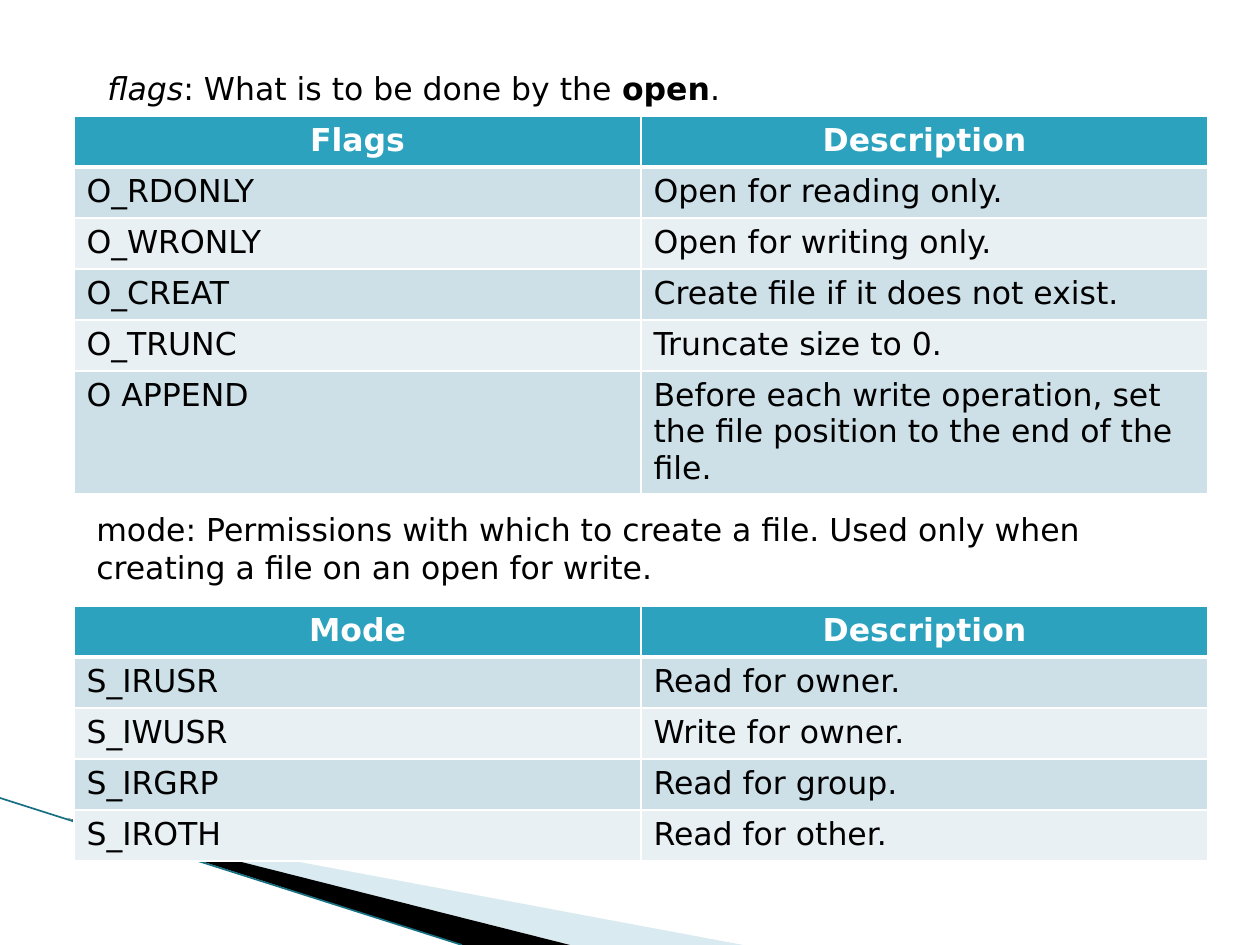
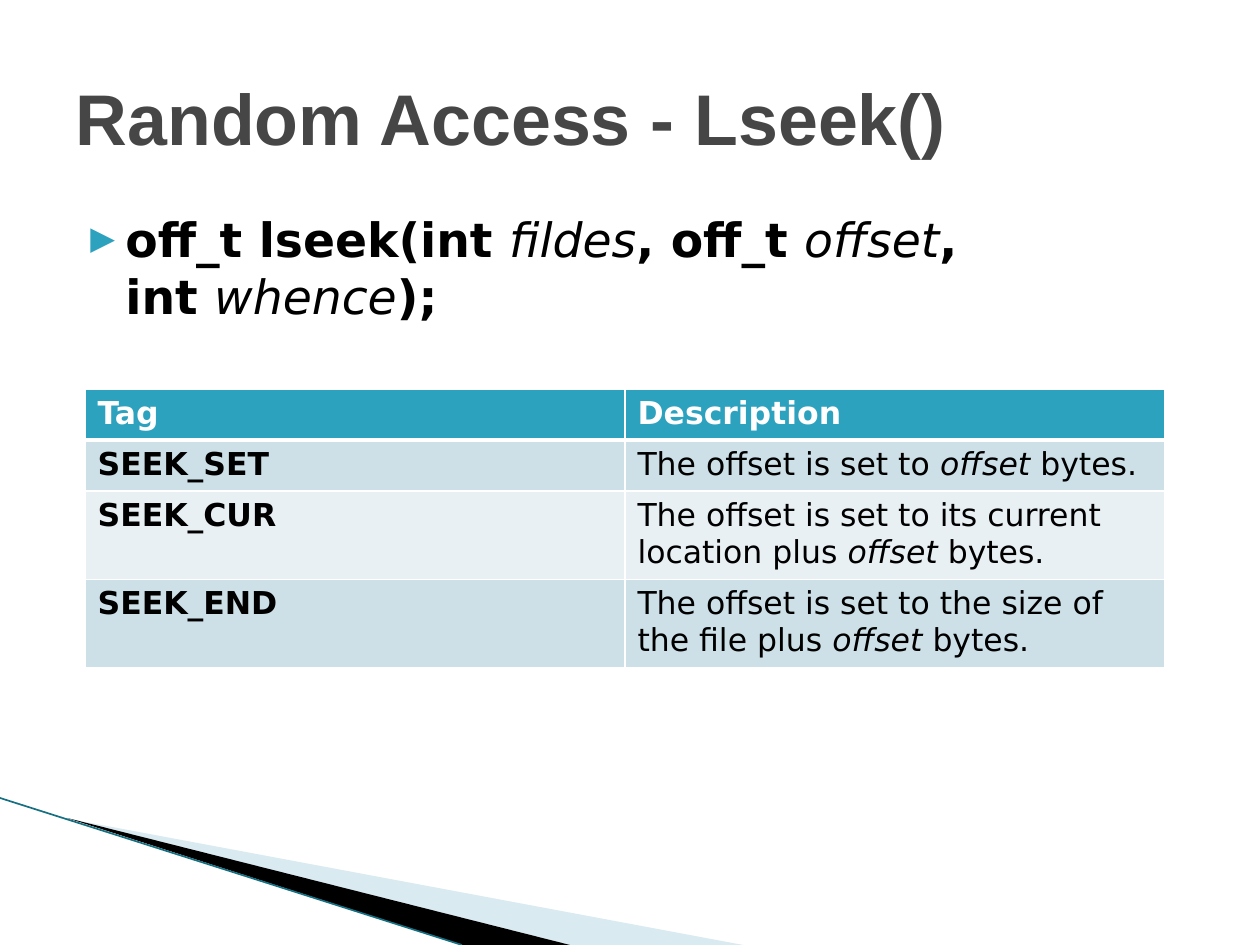
from lxml.etree import SubElement
from pptx import Presentation
from pptx.dml.color import RGBColor
from pptx.enum.shapes import MSO_CONNECTOR
from pptx.enum.text import MSO_ANCHOR, MSO_AUTO_SIZE, PP_ALIGN
from pptx.oxml import parse_xml
from pptx.oxml.ns import nsdecls, qn
from pptx.util import Pt

PX = 914400 / 126
WIDE, HIGH = 1260, 945
FONT, HEAD = "DejaVu Sans", "Arial"
WHITE = RGBColor(0xFF, 0xFF, 0xFF)
BLACK = RGBColor(0, 0, 0)
GREY = RGBColor(0x46, 0x46, 0x46)
TEAL = RGBColor(0x2D, 0xA2, 0xBF)
DEEP = RGBColor(0x16, 0x70, 0x82)
PALE = RGBColor(0xA0, 0xCB, 0xDC)
BANDS = RGBColor(0xCD, 0xE0, 0xE8), RGBColor(0xE8, 0xF0, 0xF4)
ROW = 51


def emu(*sizes):
    """Turn pixels into EMU."""
    return [round(size * PX) for size in sizes]


def write(para, parts, size=18, color=BLACK, bold=False, font=FONT):
    """Fill a paragraph from plain text or from (text, style) pairs."""
    face = para.font
    face.name, face.size, face.bold = font, Pt(size), bold
    face.color.rgb = color
    if isinstance(parts, str):
        parts = [(parts, "")]
    for text, style in parts:
        run = para.add_run()
        run.text = text
        if "b" in style:
            run.font.bold = True
        if "i" in style:
            run.font.italic = True


def wedge(slide, points, color, alpha=100):
    """Draw a filled outline without a line."""
    form = slide.shapes.build_freeform(*points[0], scale=PX)
    form.add_line_segments(points[1:])
    shape = form.convert_to_shape()
    shape.shadow.inherit = False
    shape.line.fill.background()
    shape.fill.solid()
    shape.fill.fore_color.rgb = color
    if alpha < 100:
        tint = shape.fill._xPr.find(qn("a:solidFill"))[0]
        SubElement(tint, qn("a:alpha"), val=str(alpha * 1000))


def corner(slide):
    """Draw the swoosh in the lower left corner."""
    wedge(slide, [(69, 819), (743, HIGH), (570, HIGH)], PALE, 40)
    wedge(slide, [(67, 818), (570, HIGH), (462, HIGH)], BLACK)
    line = slide.shapes.add_connector(
        MSO_CONNECTOR.STRAIGHT, *emu(0, 798, 462, HIGH))
    line.line.color.rgb = DEEP
    line.line.width = Pt(0.95)
    SubElement(line._element.spPr, qn("a:effectLst"))


def edge(cell, top, base):
    """Give a cell white borders, with top and base widths in points."""
    props = cell._tc.get_or_add_tcPr()
    sides = zip("LRTB", (1, 1, top, base))
    for place, (side, width) in enumerate(sides):
        props.insert(place, parse_xml(
            f'<a:ln{side} {nsdecls("a")} w="{Pt(width)}"><a:solidFill>'
            f'<a:srgbClr val="{WHITE}"/></a:solidFill></a:ln{side}>'))


def grid(slide, box, rows, align=PP_ALIGN.LEFT, tags=False):
    """Place a banded table of two equal columns in a box (x, y, width)."""
    x, y, width = box
    frame = slide.shapes.add_table(
        len(rows), 2, *emu(x, y, width, ROW * len(rows)))
    table = frame.table
    table.horz_banding = False
    for col in table.columns:
        col.width = emu(width / 2)[0]
    for r, row in enumerate(rows):
        table.rows[r].height = emu(ROW)[0]
        for c, parts in enumerate(row):
            cell = table.cell(r, c)
            cell.fill.solid()
            cell.fill.fore_color.rgb = BANDS[(r - 1) % 2] if r else TEAL
            edge(cell, 3 if r == 1 else 1, 1 if r else 3)
            para = cell.text_frame.paragraphs[0]
            para.alignment = PP_ALIGN.LEFT if r else align
            write(para, parts, color=BLACK if r else WHITE,
                  bold=r == 0 or (tags and c == 0))


def note(slide, box, parts, **look):
    """Place a wrapped text box and return its paragraph."""
    frame = slide.shapes.add_textbox(*emu(*box)).text_frame
    frame.word_wrap = True
    para = frame.paragraphs[0]
    write(para, parts, **look)
    return para


def bullet(para, left, hang):
    """Give a paragraph a hanging triangle bullet."""
    props = para._p.get_or_add_pPr()
    props.set("marL", str(emu(left)[0]))
    props.set("indent", str(emu(-hang)[0]))
    para.space_before = Pt(4)
    face = props.find(qn("a:defRPr"))
    for xml in (f'<a:buClr {nsdecls("a")}><a:srgbClr val="{TEAL}"/></a:buClr>',
                f'<a:buSzPct {nsdecls("a")} val="68000"/>',
                f'<a:buFont {nsdecls("a")} typeface="{FONT}"/>',
                f'<a:buChar {nsdecls("a")} char="▶"/>'):
        face.addprevious(parse_xml(xml))


def title(slide, box, text):
    """Move and format the title placeholder."""
    shape = slide.shapes.title
    shape.left, shape.top, shape.width, shape.height = emu(*box)
    frame = shape.text_frame
    frame.auto_size = MSO_AUTO_SIZE.NONE
    frame.vertical_anchor = MSO_ANCHOR.MIDDLE
    para = frame.paragraphs[0]
    para.alignment = PP_ALIGN.LEFT
    write(para, text, 41, GREY, True, HEAD)


def flags(deck):
    """Build the slide of open flags and modes."""
    slide = deck.slides.add_slide(deck.slide_layouts[6])
    corner(slide)
    grid(slide, (74, 116, 1134), [
        ("Flags", "Description"),
        ("O_RDONLY", "Open for reading only."),
        ("O_WRONLY", "Open for writing only."),
        ("O_CREAT", "Create file if it does not exist."),
        ("O_TRUNC", "Truncate size to 0."),
        ("O APPEND", "Before each write operation, set the file position "
                     "to the end of the file."),
    ], PP_ALIGN.CENTER)
    grid(slide, (74, 606, 1134), [
        ("Mode", "Description"),
        ("S_IRUSR", "Read for owner."),
        ("S_IWUSR", "Write for owner."),
        ("S_IRGRP", "Read for group."),
        ("S_IROTH", "Read for other."),
    ], PP_ALIGN.CENTER)
    note(slide, (95, 63, 1040, 51), [
        ("flags", "i"), (": What is to be done by the\u00a0", ""),
        ("open", "b"), (".", "")])
    note(slide, (84, 504, 1081, 89),
         "mode: Permissions with which to create a file. "
         "Used only when creating a file on an open for write.")


def seek(deck):
    """Build the slide on random access."""
    slide = deck.slides.add_slide(deck.slide_layouts[5])
    corner(slide)
    para = note(slide, (63, 204, 1134, 624), [
        ("off_t lseek(int\u00a0", "b"), ("fildes", "i"),
        (", off_t\u00a0", "b"), ("offset", "i"),
        (", int\u00a0", "b"), ("whence", "i"), (");", "b")], size=27)
    bullet(para, 50, 35)
    title(slide, (63, 38, 1134, 158), "Random Access - Lseek()")
    ends = [("SEEK_SET", "to\u00a0"),
            ("SEEK_CUR", "to its current location plus "),
            ("SEEK_END", "to the size of the file plus ")]
    rows = [(tag, [("The offset is set " + text, ""), ("offset", "i"),
                   ("\u00a0bytes.", "")]) for tag, text in ends]
    grid(slide, (85, 389, 1080), [("Tag", "Description")] + rows, tags=True)


def main():
    """Build and save the slides."""
    deck = Presentation()
    deck.slide_width, deck.slide_height = emu(WIDE, HIGH)
    flags(deck)
    seek(deck)
    deck.save("out.pptx")


main()
